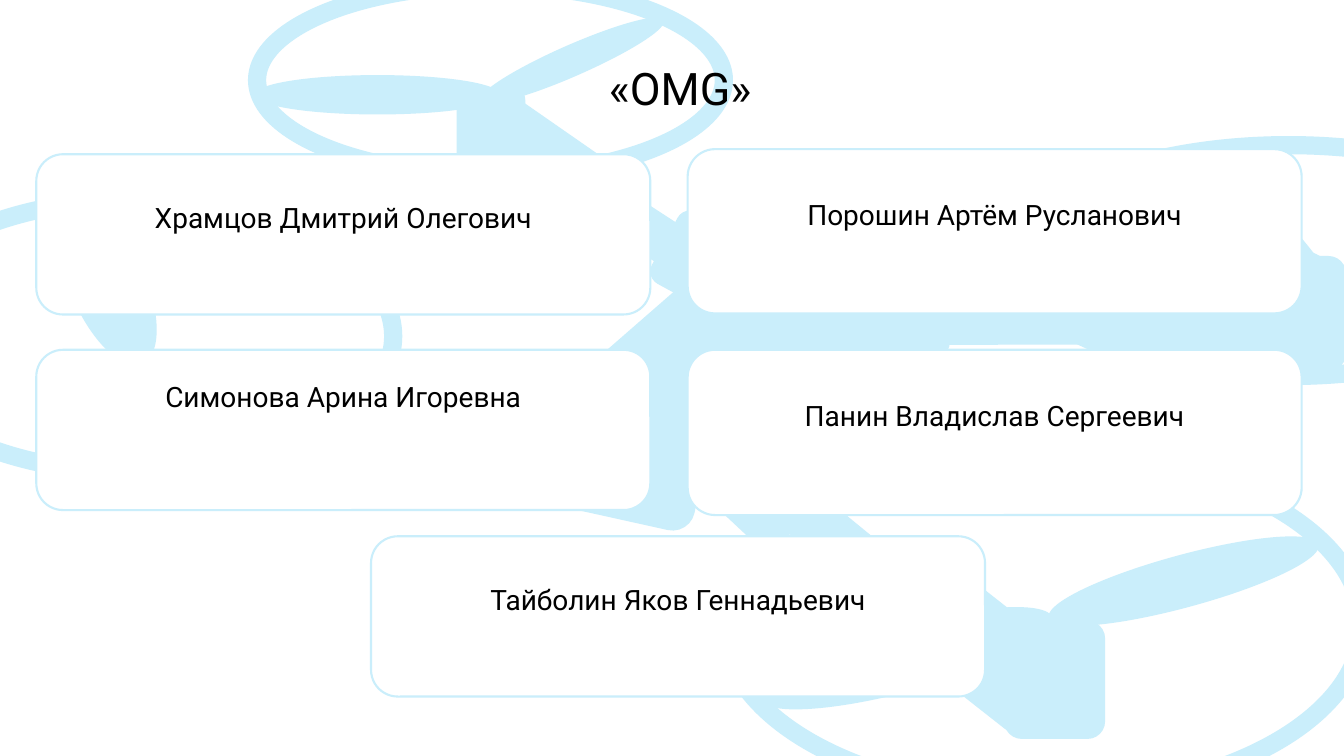
"""Team slide: five name cards over a pale drone silhouette."""
from pptx import Presentation
from pptx import util as u
from pptx.dml.color import RGBColor
from pptx.enum import shapes, text

SKY = RGBColor(0xCA, 0xEE, 0xFB)
WHITE = RGBColor(0xFF, 0xFF, 0xFF)
BLACK = RGBColor(0, 0, 0)
FONT = "Roboto"
WIDE, HIGH = 13.33, 7.5
OVAL = shapes.MSO_SHAPE.OVAL
ROUND = shapes.MSO_SHAPE.ROUNDED_RECTANGLE

TITLE = "«OMG»"
CARD = 6.09
LEFT, MID, RIGHT = 0.36, 3.68, 6.82
LINE = 0.33
CARDS = [
    ("Храмцов Дмитрий Олегович", LEFT, 1.53, 1.59, 1),
    ("Симонова Арина Игоревна", LEFT, 3.47, 1.59, 2),
    ("Порошин Артём Русланович", RIGHT, 1.48, 1.63, 1),
    ("Панин Владислав Сергеевич", RIGHT, 3.47, 1.64, 1),
    ("Тайболин Яков Геннадьевич", MID, 5.32, 1.59, 1),
]

RINGS = [
    (2.55, -0.15, 4.63, 1.89, 0),
    (-1.2, 1.98, 5.1, 2.71, 0),
    (7.18, 4.5, 6.33, 3.4, 0),
    (10.06, 1.44, 5.44, 2.29, 0),
]
BLADES = [
    (0.7, 1.94, 0.73, 1.73, 336.7),
    (1.51, 3.34, 0.51, 1.53, 322.1),
    (11.49, 4.39, 0.5, 2.75, 254.8),
    (8.67, 5.03, 0.63, 3, 254.8),
    (13.28, 2.28, 0.33, 1.55, 315.2),
    (12.39, 1.26, 0.27, 1.8, 315.2),
    (5.53, -0.38, 0.29, 1.96, 246.3),
    (3.56, -0.26, 0.37, 2.4, 270),
]
BODY = [
    (8.62, 5.87, 1.98, 0.94, 38.2),
    (9.97, 6.17, 0.98, 1.15, 0),
    (4.71, 1.26, 1.41, 0.7, 34.8),
    (10.87, 2.76, 1.56, 0.8, 0),
    (7.42, 5.09, 1.69, 0.48, 39.3),
    (9.28, 2.93, 1.69, 0.48, 0),
    (5.42, 1.88, 1.4, 0.42, 33),
    (7.03, 4.36, 1.05, 0.91, 43.1),
    (8.38, 2.74, 1.03, 0.79, 0),
    (6.54, 2.25, 1.03, 0.79, 28.6),
    (5.24, 3.85, 1.75, 1.27, 12.5),
    (6.29, 2.37, 1.69, 2.53, 48.9),
    (12.36, 2.55, 0.98, 1.12, 0),
    (4.54, 0.88, 0.66, 0.74, 0),
    (7.15, 2.27, 1.67, 1.06, 5.3),
]


def draw(home, kind, box, fill, line=1.5):
    shape = home.add_shape(kind, *map(u.Inches, box))
    shape.shadow.inherit = False
    if fill is None:
        shape.fill.background()
    else:
        shape.fill.solid()
        shape.fill.fore_color.rgb = fill
    shape.line.color.rgb = SKY
    shape.line.width = u.Pt(line)
    return shape


def write(shape, words, size, align):
    para = shape.text_frame.paragraphs[0]
    para.text = words
    para.alignment = align
    para.font.size = u.Pt(size)
    para.font.name = FONT
    para.font.color.rgb = BLACK


def main():
    deck = Presentation()
    deck.slide_width, deck.slide_height = u.Inches(WIDE), u.Inches(HIGH)
    slide = deck.slides.add_slide(deck.slide_layouts[6])

    drone = slide.shapes.add_group_shape().shapes
    layers = [(OVAL, RINGS, None, 13), (OVAL, BLADES, SKY, 1.5), (ROUND, BODY, SKY, 1.5)]
    for kind, parts, fill, line in layers:
        for *box, turn in parts:
            draw(drone, kind, box, fill, line).rotation = turn

    title = slide.shapes.add_textbox(*map(u.Inches, (5.94, 0.55, 8.46, 0.64)))
    title.text_frame.word_wrap = True
    write(title, TITLE, 32, text.PP_ALIGN.LEFT)

    for name, left, top, high, lift in CARDS:
        card = draw(slide.shapes, ROUND, (left, top, CARD, high), WHITE)
        frame = card.text_frame
        frame.word_wrap = True
        frame.vertical_anchor = text.MSO_ANCHOR.MIDDLE
        frame.margin_bottom = u.Inches(0.05 + lift * LINE)
        write(card, name, 20, text.PP_ALIGN.CENTER)

    deck.save("out.pptx")


if __name__ == "__main__":
    main()
